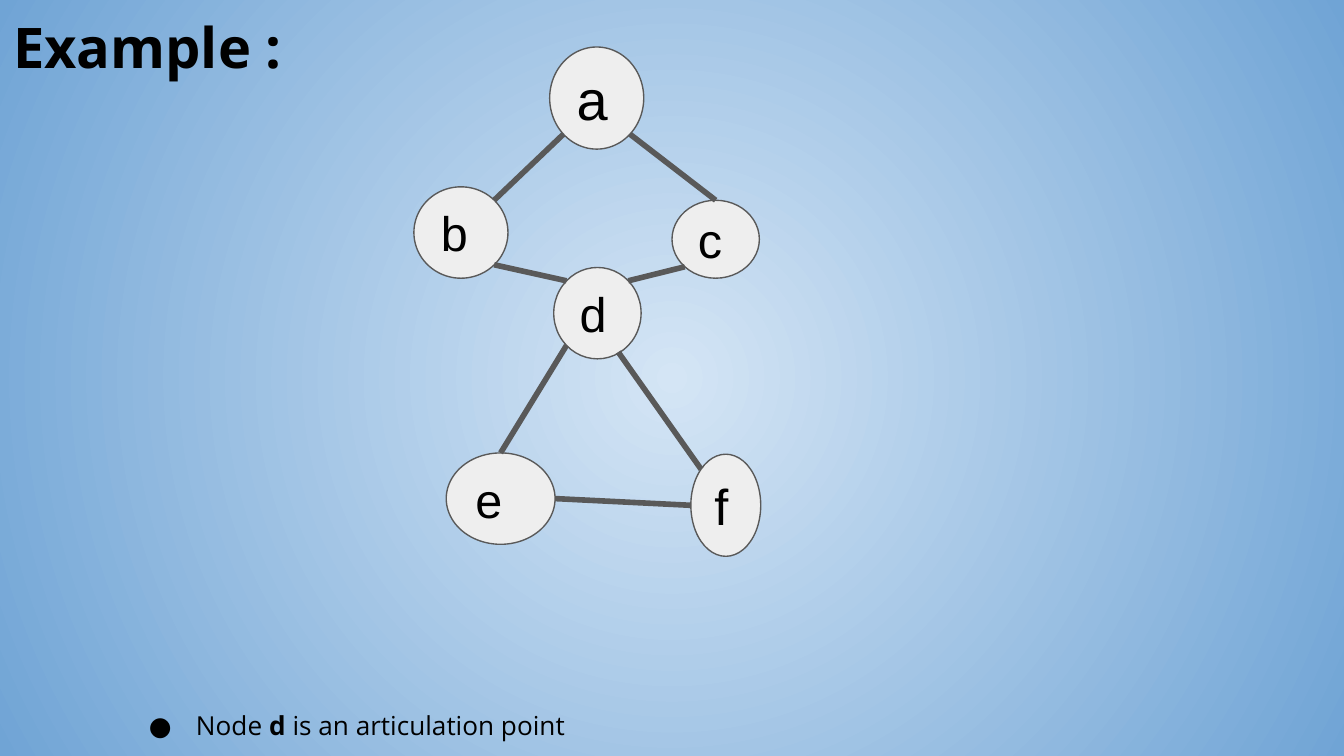
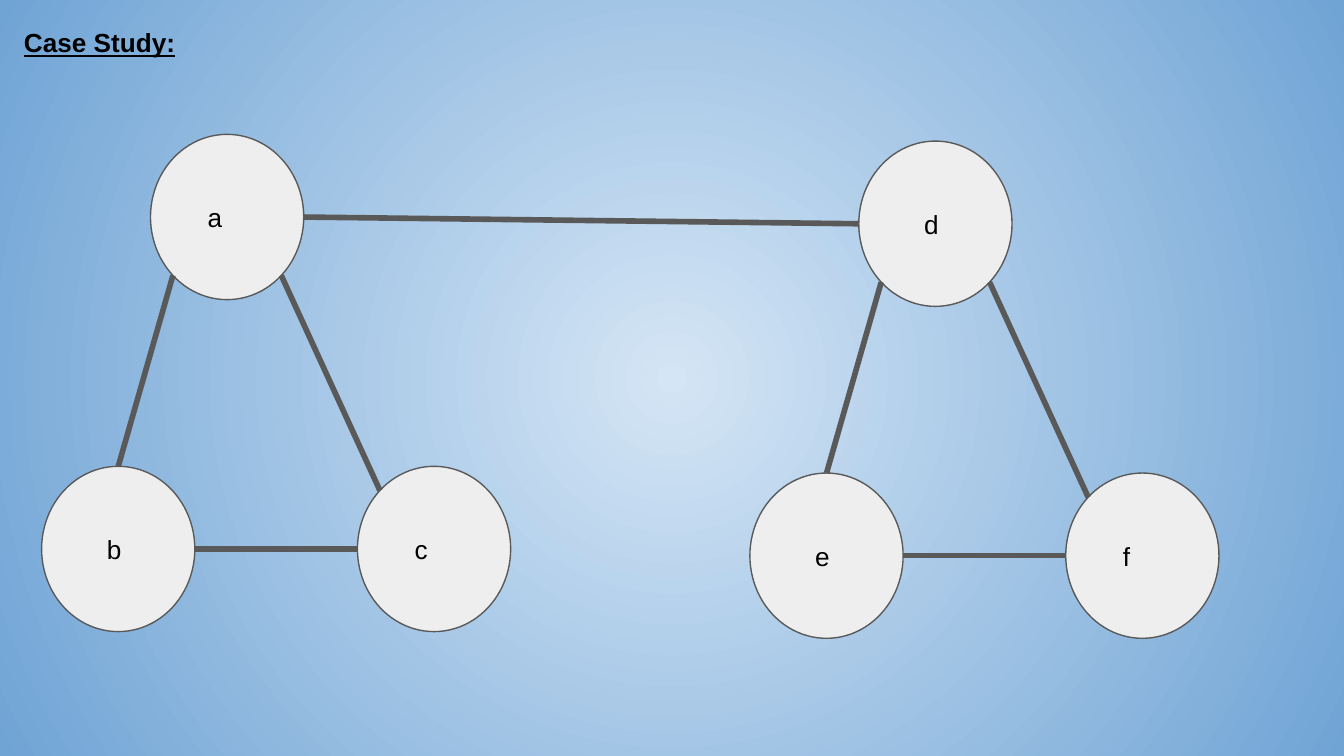
from math import sqrt

from lxml import etree
from pptx import Presentation
from pptx.dml.color import RGBColor
from pptx.enum.shapes import MSO_CONNECTOR, MSO_SHAPE
from pptx.enum.text import MSO_ANCHOR, MSO_AUTO_SIZE, PP_ALIGN
from pptx.oxml.ns import qn
from pptx.util import Inches, Pt

LINE = MSO_CONNECTOR.STRAIGHT
OVAL = MSO_SHAPE.OVAL
JOINT = MSO_SHAPE.FLOWCHART_CONNECTOR
MIDDLE = MSO_ANCHOR.MIDDLE
LEFT = PP_ALIGN.LEFT
GROW = MSO_AUTO_SIZE.SHAPE_TO_FIT_TEXT

WIDE = Inches(10)
HIGH = WIDE * 9 // 16

GLOW, SKY = "D4E5F5", "70A4D5"
PALE, GREY, BLACK = "EEEEEE", "595959", "000000"
SANS, OPEN = "Arial", "Open Sans"

# Unit steps from a node's centre to its rim
DIAG = sqrt(0.5)
RIM = {"N": (0, -1), "E": (1, 0), "W": (-1, 0),
       "NW": (-DIAG, -DIAG), "NE": (DIAG, -DIAG),
       "SW": (-DIAG, DIAG), "SE": (DIAG, DIAG)}


def color(code):
    return RGBColor.from_string(code)


def style(para, size, face, bold=None, under=None):
    font = para.font
    font.size, font.name, font.bold = Pt(size), face, bold
    font.underline = under
    font.color.rgb = color(BLACK)


def pad(frame):
    frame.word_wrap = True
    frame.margin_left = frame.margin_right = Inches(0.1)
    frame.margin_top = frame.margin_bottom = Inches(0.1)


def backdrop(master):
    """Give all slides the round gradient."""
    fill = master.background.fill
    fill.gradient()
    for stop, code, place in zip(fill.gradient_stops, (GLOW, SKY), (0, 1)):
        stop.color.rgb = color(code)
        stop.position = place
    grad = next(master.element.iter(qn("a:gradFill")))
    grad.remove(grad.find(qn("a:lin")))
    way = etree.SubElement(grad, qn("a:path"), {"path": "circle"})
    etree.SubElement(way, qn("a:fillToRect"),
                     {side: "50000" for side in "ltrb"})


def textbox(slide, box):
    shape = slide.shapes.add_textbox(*map(Inches, box))
    pad(shape.text_frame)
    shape.text_frame.auto_size = GROW
    return shape.text_frame.paragraphs[0]


def title(slide, box, text, size, face, under=None):
    para = textbox(slide, box)
    para.text = text
    style(para, size, face, True, under)


def node(slide, kind, box, name, size, indent=0):
    shape = slide.shapes.add_shape(kind, *map(Inches, box))
    shape.shadow.inherit = False
    shape.fill.solid()
    shape.fill.fore_color.rgb = color(PALE)
    shape.line.color.rgb = color(GREY)
    shape.line.width = Pt(0.75)
    frame = shape.text_frame
    pad(frame)
    frame.vertical_anchor = MIDDLE
    para = frame.paragraphs[0]
    para.text = name
    para.alignment = LEFT
    if indent:
        para._p.get_or_add_pPr().set("indent", str(Inches(indent)))
    style(para, size, SANS)


def rim(box, side):
    """Point on the oval in box that faces the given side."""
    x, y, w, h = box
    dx, dy = RIM[side]
    return x + w / 2 * (1 + dx), y + h / 2 * (1 + dy)


def edge(slide, start, end):
    line = slide.shapes.add_connector(LINE, *map(Inches, (*start, *end)))
    line.line.color.rgb = color(GREY)
    line.line.width = Pt(3)
    etree.SubElement(line._element.spPr, qn("a:effectLst"))


def link(slide, boxes, edges):
    for first, out, second, into in edges:
        edge(slide, rim(boxes[first], out), rim(boxes[second], into))


def bullet(slide, box):
    para = textbox(slide, box)
    props = para._p.get_or_add_pPr()
    props.set("marL", str(Inches(0.5)))
    props.set("indent", str(Inches(-0.35)))
    tint = etree.SubElement(props, qn("a:buClr"))
    etree.SubElement(tint, qn("a:srgbClr"), {"val": BLACK})
    etree.SubElement(props, qn("a:buSzPts"), {"val": "1400"})
    etree.SubElement(props, qn("a:buFont"), {"typeface": OPEN})
    etree.SubElement(props, qn("a:buChar"), {"char": "●"})
    for text, bold in (("Node ", None), ("d ", True),
                       ("is an articulation point", None)):
        run = para.add_run()
        run.text = text
        run.font.bold = bold
    style(para, 14, OPEN)


def example(slide):
    boxes = {"a": (4.09, 0.35, 0.7, 0.76), "b": (3.08, 1.39, 0.7, 0.68),
             "c": (5, 1.49, 0.65, 0.58), "d": (4.12, 1.99, 0.65, 0.68),
             "e": (3.32, 3.37, 0.81, 0.68), "f": (5.14, 3.38, 0.52, 0.76)}
    sizes = {"a": 30, "f": 27}
    for name, box in boxes.items():
        node(slide, JOINT, box, name, sizes.get(name, 26))
    link(slide, boxes, [("a", "SW", "b", "NE"), ("a", "SE", "c", "N"),
                        ("b", "SE", "d", "NW"), ("d", "NE", "c", "SW"),
                        ("d", "SW", "e", "N"), ("e", "E", "f", "W")])
    edge(slide, (4.6, 2.62), rim(boxes["f"], "NW"))
    bullet(slide, (0.86, 5.18, 4.6, 0.44))
    title(slide, (0, -0.01, 4.6, 0.71), "Example :", 30, OPEN)


def triangle(slide, left, top, names, indents):
    """Three linked nodes; returns their boxes by name."""
    spots = ((0.81, 0), (0, 2.47), (2.35, 2.47))
    boxes = {name: (left + x, top + y, 1.14, 1.23)
             for name, (x, y) in zip(names, spots)}
    for (name, box), indent in zip(boxes.items(), indents):
        node(slide, OVAL, box, name, 14, indent)
    head, near, far = names
    link(slide, boxes, [(head, "SW", near, "N"), (head, "SE", far, "NW"),
                        (near, "E", far, "W")])
    return boxes


def study(slide):
    boxes = triangle(slide, 0.31, 1, "abc", (0.16, 0.22, 0.16))
    boxes |= triangle(slide, 5.58, 1.05, "def", (0.22, 0.22, 0.16))
    link(slide, boxes, [("a", "E", "d", "W")])
    title(slide, (0.08, 0.1, 2.46, 0.44), "Case Study:", 14, SANS, True)


def main():
    deck = Presentation()
    deck.slide_width, deck.slide_height = WIDE, HIGH
    backdrop(deck.slide_master)
    for build in (example, study):
        build(deck.slides.add_slide(deck.slide_layouts[6]))
    deck.save("out.pptx")


if __name__ == "__main__":
    main()
